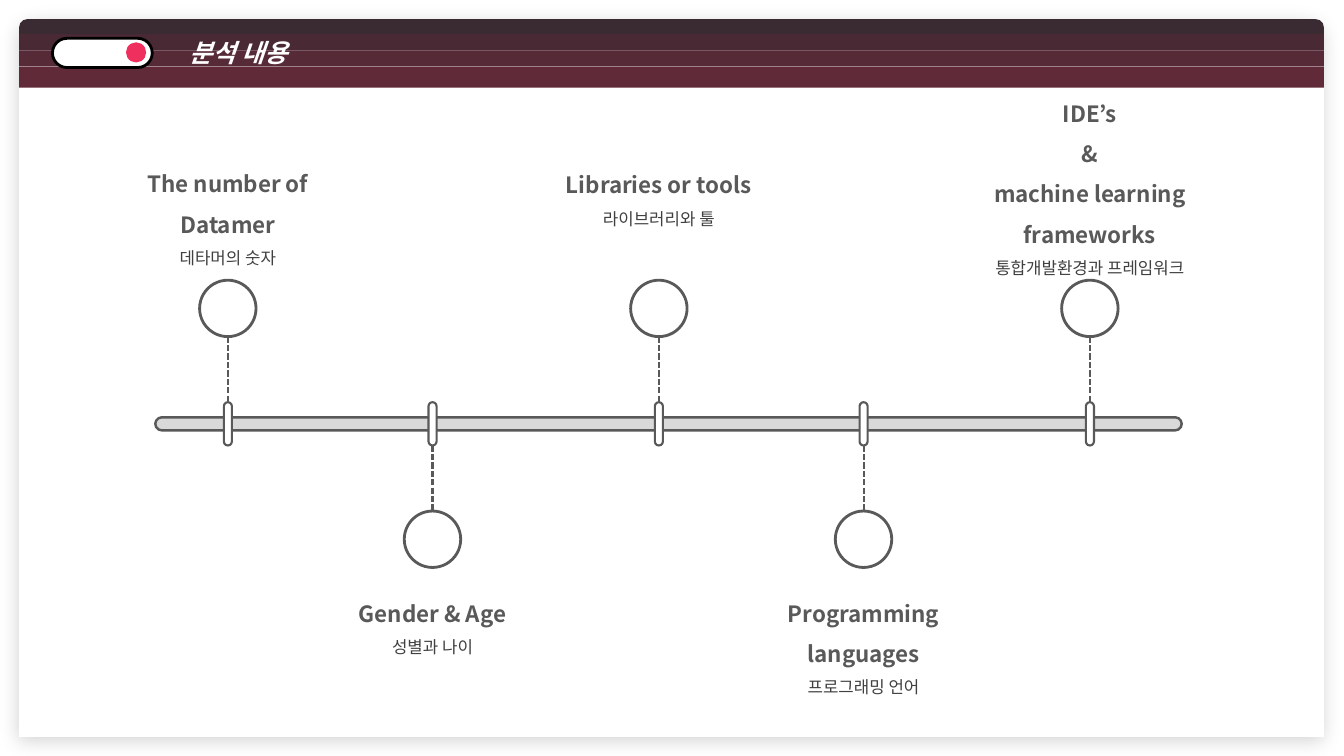
from lxml.etree import SubElement as Sub
from pptx import Presentation
from pptx.dml.color import RGBColor
from pptx.enum.dml import MSO_LINE as Dash
from pptx.enum.shapes import MSO_CONNECTOR as Conn, MSO_SHAPE as Geo
from pptx.enum.text import MSO_AUTO_SIZE as Fit, PP_ALIGN as Align
from pptx.oxml.ns import qn
from pptx.util import Inches, Pt

WHITE, GREY, DARK = "FFFFFF", "595959", "404040"


def rgb(code):
    return RGBColor.from_string(code)


def cell(n):
    """Length of n grid cells, ten to the inch."""
    return Inches(n / 10)


class Board:
    font = "Noto Sans CJK KR"

    def __init__(self, slide):
        self.slide = slide

    def shape(self, geo, x, y, w, h, fill, line=None, width=0, adj=()):
        item = self.slide.shapes.add_shape(geo, *map(cell, (x, y, w, h)))
        item.shadow.inherit = False
        item.fill.solid()
        item.fill.fore_color.rgb = rgb(fill)
        if line:
            item.line.color.rgb = rgb(line)
            item.line.width = Pt(width)
        else:
            item.line.fill.background()
        for i, value in enumerate(adj):
            item.adjustments[i] = value
        return item

    def pill(self, x, y, w, h, fill, line, width):
        return self.shape(Geo.ROUNDED_RECTANGLE, x, y, w, h, fill, line, width, [0.5])

    def glow(self, item):
        """Give the shape a soft shadow below it."""
        effects = item._element.spPr.find(qn("a:effectLst"))
        outer = Sub(effects, qn("a:outerShdw"), blurRad=str(Pt(13)),
                    dist=str(Pt(3)), dir="5400000", algn="t", rotWithShape="0")
        tint = Sub(outer, qn("a:srgbClr"), val="000000")
        Sub(tint, qn("a:alpha"), val="16000")

    def dash(self, x, top, end):
        line = self.slide.shapes.add_connector(
            Conn.STRAIGHT, *map(cell, (x, top, x, end)))
        line.line.color.rgb = rgb(GREY)
        line.line.width = Pt(1.5)
        line.line.dash_style = Dash.SQUARE_DOT
        Sub(line._element.spPr, qn("a:effectLst"))

    def text(self, x, y, w, h, rows, align=Align.LEFT, space=1.0):
        """Add rows of (words, size, colour, bold, italic)."""
        box = self.slide.shapes.add_textbox(*map(cell, (x, y, w, h)))
        frame = box.text_frame
        frame.word_wrap = True
        frame.auto_size = Fit.SHAPE_TO_FIT_TEXT
        for i, (words, size, color, bold, italic) in enumerate(rows):
            para = frame.add_paragraph() if i else frame.paragraphs[0]
            para.alignment = align
            para.line_spacing = space
            run = para.add_run()
            run.text = words
            font = run.font
            font.name, font.size = self.font, Pt(size)
            font.bold, font.italic = bold, italic
            font.color.rgb = rgb(color)
            Sub(run._r.get_or_add_rPr(), qn("a:ea"), typeface=self.font)

    def frame(self, title):
        left, width = 1.9, 129.4
        top = Geo.ROUND_2_SAME_RECTANGLE
        page = self.shape(top, left, 1.9, width, 71.2, WHITE, adj=[0.024, 0])
        self.glow(page)
        self.shape(top, left, 1.9, width, 1.6, "3A2B32", adj=[0.5, 0])
        bands = [("492934", 1.6), ("562A37", 1.6), ("602A38", 2.1)]
        for i, (fill, high) in enumerate(bands):
            self.shape(Geo.RECTANGLE, left, 3.4 + 1.6 * i, width, high, fill)
        self.pill(5.2, 3.8, 9.9, 2.9, WHITE, "000000", 2)
        self.shape(Geo.OVAL, 12.5, 4.2, 2, 2, "EF2F5E")
        self.text(17.8, 3.2, 52.2, 4, [(title, 18, WHITE, True, True)])

    def stop(self, x, above, y, w, h, heads, note):
        """Add one stop of the timeline: pin, dashed stem, ring and label."""
        ring, stem = (27.8, 33.4) if above else (50.7, 44.2)
        self.pill(x - 0.4, 39.9, 0.8, 4.3, WHITE, GREY, 1.5)
        self.shape(Geo.OVAL, x - 2.8, ring, 5.6, 5.6, WHITE, GREY, 2)
        self.dash(x, stem, stem + 6.5)
        rows = [(head, 16, GREY, True, False) for head in heads]
        rows.append((note, 12, DARK, False, False))
        self.text(x - w / 2, y, w, h, rows, Align.CENTER, 1.5)


UPPER = [
    (15.1, 25.5, 11.7, ["The number of Datamer"], "데타머의 숫자"),
    (15.2, 25.5, 7.7, ["Libraries or tools"], "라이브러리와 툴"),
    (8.1, 23.7, 19.8, ["IDE’s", "&", "machine learning", "frameworks"],
     "통합개발환경과 프레임워크"),
]
LOWER = [
    (57.7, 25.5, 7.7, ["Gender & Age"], "성별과 나이"),
    (57.7, 25.5, 11.7, ["Programming", "languages"], "프로그래밍 언어"),
]


def main():
    deck = Presentation()
    deck.slide_width, deck.slide_height = Inches(13.33), Inches(7.5)
    board = Board(deck.slides.add_slide(deck.slide_layouts[6]))
    board.frame("분석 내용")
    board.pill(15.4, 41.4, 101.8, 1.3, "D9D9D9", GREY, 1.75)
    for start, above, stops in ((22.6, True, UPPER), (42.9, False, LOWER)):
        for i, stop in enumerate(stops):
            board.stop(start + 42.75 * i, above, *stop)
    deck.save("out.pptx")


if __name__ == "__main__":
    main()
